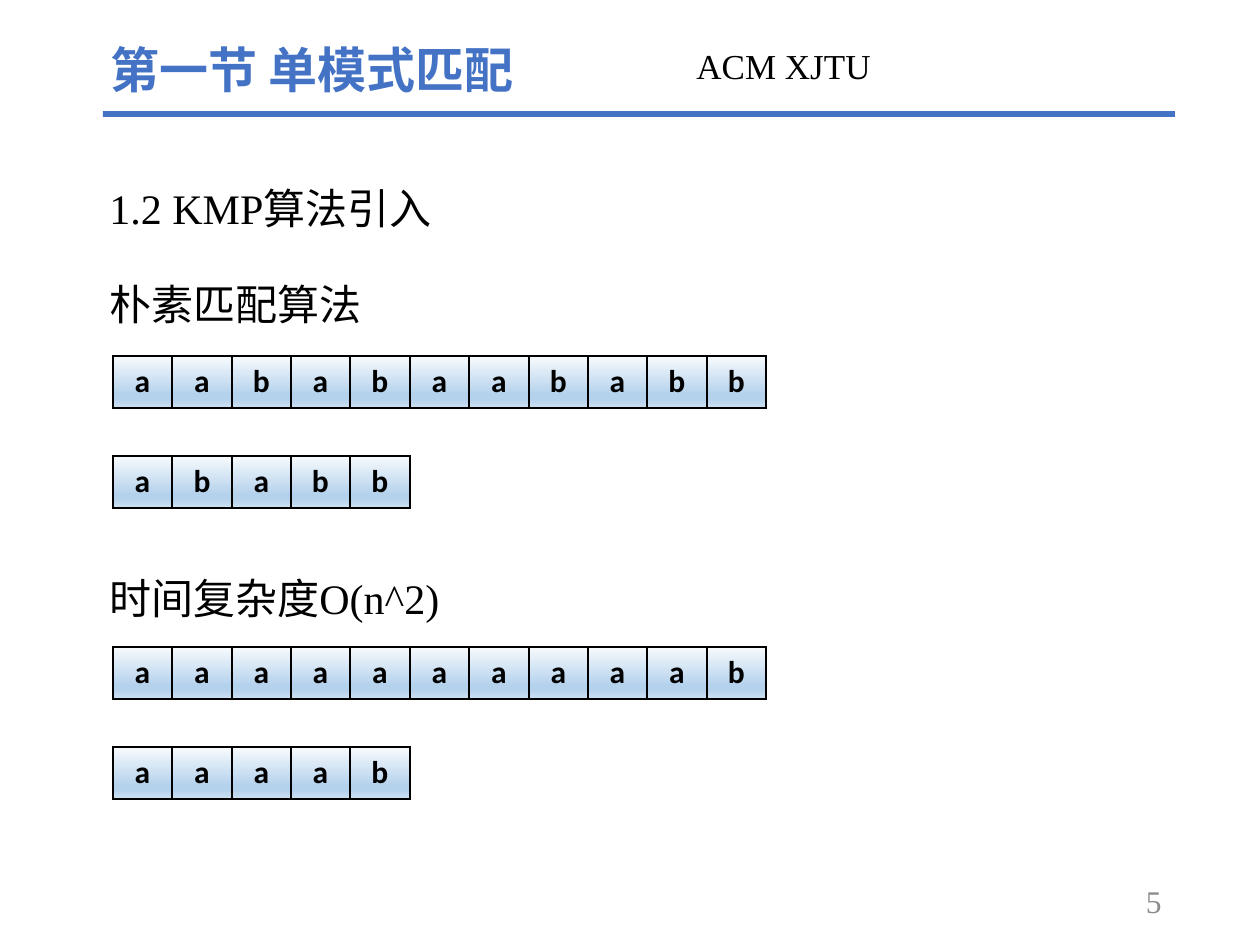
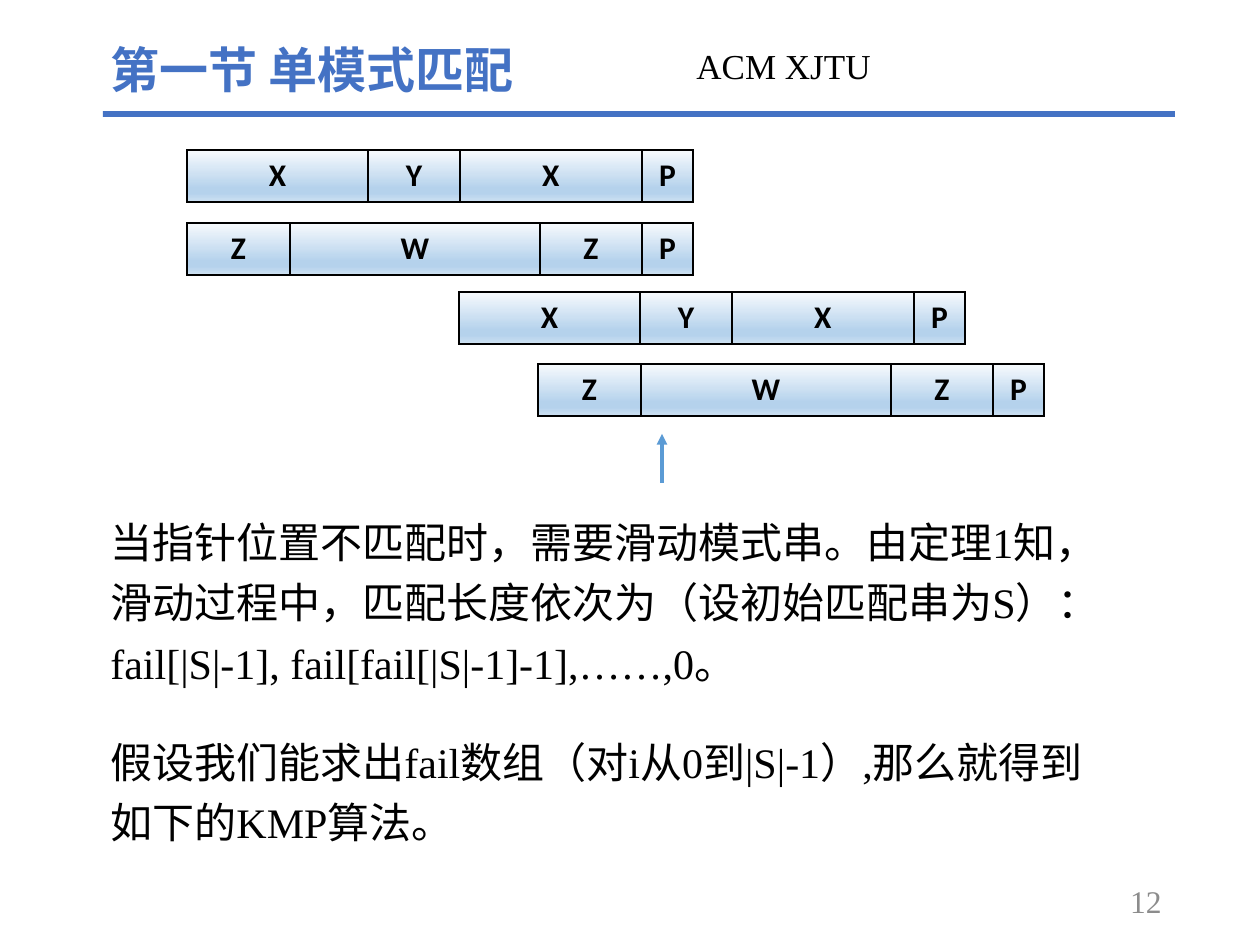
from lxml.etree import SubElement
from pptx import Presentation
from pptx.dml.color import RGBColor
from pptx.enum.shapes import MSO_CONNECTOR, MSO_SHAPE
from pptx.enum.text import MSO_ANCHOR, PP_ALIGN
from pptx.oxml import parse_xml
from pptx.oxml.ns import nsdecls, qn
from pptx.util import Emu, Pt

# Shared style
PX_PER_INCH = 126
BLUE, ARROW_BLUE, BLACK, GRAY = "4472C4", "5B9BD5", "000000", "8C8C8C"
CHINESE_FONT = "Noto Sans CJK SC"
CELL_GRADIENT = [(0, "F7FAFD"), (74, "B5D2EC"), (83, "B5D2EC"), (100, "CEE1F2")]
TITLE = {"name": CHINESE_FONT, "size": 28, "bold": True, "color": BLUE}
BODY = {"name": "Times New Roman", "size": 24, "color": BLACK}
HEADER = {**BODY, "size": 20}
NUMBER = {**BODY, "size": 18, "color": GRAY}
CELL = {"name": "Calibri", "size": 18, "bold": True, "color": BLACK}
ROW_HEIGHT = 52


def px(length):
    return Emu(round(length * 914400 / PX_PER_INCH))


def color(value):
    return RGBColor.from_string(value)


class Deck:
    def __init__(self):
        self.deck = Presentation()
        self.deck.slide_width, self.deck.slide_height = px(1260), px(945)
        self.page = None

    def add_page(self, number):
        self.page = self.deck.slides.add_slide(self.deck.slide_layouts[6])
        self.band(103, 111, 1072, 6)
        self.text(684, 43, 316, 66, ["ACM XJTU"], HEADER, line_spacing=0.9)
        self.text(890, 876, 284, 50, [str(number)], NUMBER,
                  anchor=MSO_ANCHOR.MIDDLE, alignment=PP_ALIGN.RIGHT)
        self.text(98, 33, 551, 72, ["第一节 单模式匹配"], TITLE)

    def add_words(self, para, words, style, **layout):
        for key, value in layout.items():
            setattr(para, key, value)
        span = para.add_run()
        span.text = words
        for key, value in style.items():
            if key == "color":
                span.font.color.rgb = color(value)
            else:
                setattr(span.font, key, Pt(value) if key == "size" else value)
        SubElement(span.font._element, qn("a:ea"), typeface=CHINESE_FONT)

    def text(self, left, top, width, height, lines, style, anchor=MSO_ANCHOR.TOP, **layout):
        box = self.page.shapes.add_textbox(px(left), px(top), px(width), px(height))
        frame = box.text_frame
        frame.word_wrap = True
        frame.vertical_anchor = anchor
        for index, words in enumerate(lines):
            para = frame.add_paragraph() if index else frame.paragraphs[0]
            self.add_words(para, words, style, **layout)

    def body(self, left, top, height, *lines):
        self.text(left, top, 1038, height, lines, BODY, line_spacing=1.2)

    def band(self, left, top, width, height):
        shape = self.page.shapes.add_shape(
            MSO_SHAPE.RECTANGLE, px(left), px(top), px(width), px(height))
        shape.shadow.inherit = False
        shape.fill.solid()
        shape.fill.fore_color.rgb = color(BLUE)
        shape.line.fill.background()

    def string_row(self, left, top, letters, widths):
        table = self.page.shapes.add_table(
            1, len(letters), px(left), px(top), px(sum(widths)), px(ROW_HEIGHT)).table
        table.first_row = table.horz_banding = False
        for column, width in zip(table.columns, widths):
            column.width = px(width)
        for cell, letter in zip(table.rows[0].cells, letters):
            self.add_words(cell.text_frame.paragraphs[0], letter, CELL,
                           alignment=PP_ALIGN.CENTER)
            self.format_cell(cell)

    def format_cell(self, cell):
        properties = cell._tc.get_or_add_tcPr()
        for side in "LRTB":
            properties.append(parse_xml(
                f'<a:ln{side} {nsdecls("a")} w="{int(Pt(1))}"><a:solidFill>'
                f'<a:srgbClr val="{BLACK}"/></a:solidFill></a:ln{side}>'))
        stops = "".join(f'<a:gs pos="{percent * 1000}"><a:srgbClr val="{value}"/></a:gs>'
                        for percent, value in CELL_GRADIENT)
        properties.append(parse_xml(
            f'<a:gradFill {nsdecls("a")}><a:gsLst>{stops}</a:gsLst>'
            '<a:lin ang="5400000" scaled="0"/></a:gradFill>'))

    def arrow(self, start_x, start_y, end_x, end_y):
        connector = self.page.shapes.add_connector(
            MSO_CONNECTOR.STRAIGHT, px(start_x), px(start_y), px(end_x), px(end_y))
        connector.line.color.rgb = color(ARROW_BLUE)
        connector.line.width = Pt(2)
        SubElement(connector.line._get_or_add_ln(), qn("a:tailEnd"), type="triangle")
        SubElement(connector._element.spPr, qn("a:effectLst"))


def even_widths(count):
    """Whole widths of equal cells, eleven of which span 653 px."""
    edges = [round(index * 653 / 11) for index in range(count + 1)]
    return [right - left for left, right in zip(edges, edges[1:])]


def main():
    slides = Deck()

    # Naive matching: text and pattern, then the worst case
    slides.add_page(5)
    slides.body(97, 166, 74, "1.2 KMP算法引入")
    for heading, top, rows in [
        ("朴素匹配算法", 262, [(356, "aababaababb"), (456, "ababb")]),
        ("时间复杂度O(n^2)", 556, [(647, "aaaaaaaaaab"), (747, "aaaab")]),
    ]:
        slides.body(97, top, 68, heading)
        for row_top, letters in rows:
            slides.string_row(113, row_top, letters, even_widths(len(letters)))

    # Sliding the pattern
    slides.add_page(12)
    widths = {"XYXP": [181, 92, 182, 51], "ZWZP": [103, 250, 102, 51]}
    for left, top, letters in [(187, 150, "XYXP"), (187, 223, "ZWZP"),
                               (459, 292, "XYXP"), (538, 364, "ZWZP")]:
        slides.string_row(left, top, letters, widths[letters])
    slides.arrow(662, 483, 662, 434)
    slides.body(98, 500, 197,
                "当指针位置不匹配时，需要滑动模式串。由定理1知，滑动过程中，匹配长度依次为（设初始匹配串为S）：",
                "fail[|S|-1], fail[fail[|S|-1]-1],……,0。")
    slides.body(98, 720, 135,
                "假设我们能求出fail数组（对i从0到|S|-1）,那么就得到如下的KMP算法。")

    slides.deck.save("out.pptx")


if __name__ == "__main__":
    main()
